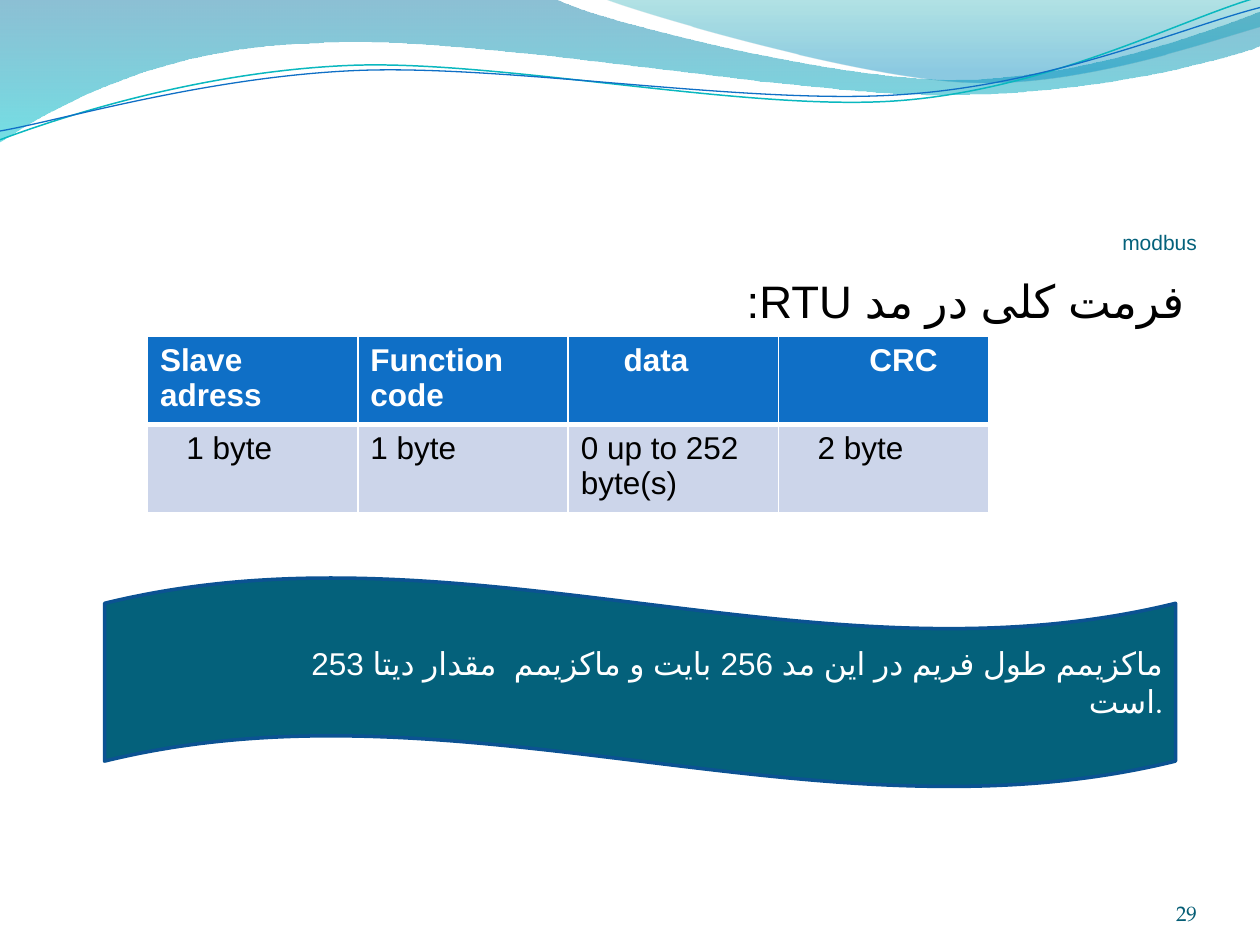
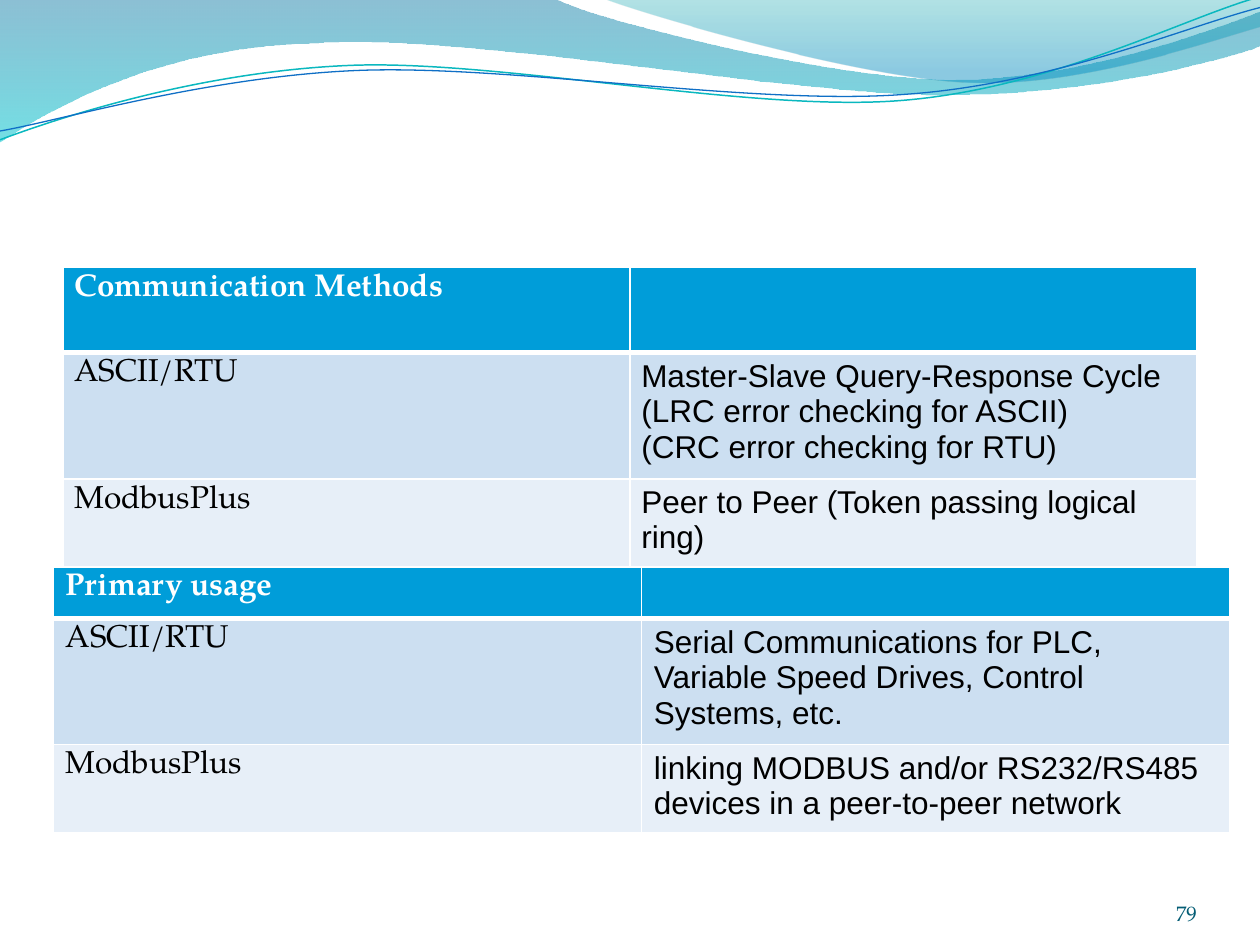
"""Build two slides about Modbus framing and usage under a shared wave header."""
from dataclasses import dataclass, field
from typing import Any

import pptx
import pptx.dml.color
import pptx.enum.shapes
import pptx.enum.text
import pptx.oxml
import pptx.oxml.ns
import pptx.util
from lxml import etree

RGBColor = pptx.dml.color.RGBColor
Align = pptx.enum.text.PP_ALIGN
Anchor = pptx.enum.text.MSO_ANCHOR
AutoSize = pptx.enum.text.MSO_AUTO_SIZE
qn = pptx.oxml.ns.qn

EMU_PER_PX = 9144
SANS = "Arial"
SERIF = "TeX Gyre Pagella"
ENGLISH = "en-US"
PERSIAN = "fa-IR"

WHITE = RGBColor(0xFF, 0xFF, 0xFF)
BLACK = RGBColor(0x00, 0x00, 0x00)
TEAL = RGBColor(0x04, 0x61, 0x7B)
DARK_TEAL = RGBColor(0x04, 0x5D, 0x75)
BLUE = RGBColor(0x0F, 0x6F, 0xC6)
NAVY = RGBColor(0x0B, 0x52, 0x92)
SKY = RGBColor(0x00, 0x9D, 0xD9)
AQUA = RGBColor(0x0A, 0xB8, 0xBF)
PALE_LILAC = RGBColor(0xCC, 0xD5, 0xEA)
PALE_BLUE = RGBColor(0xCC, 0xDF, 0xF1)
PALER_BLUE = RGBColor(0xE7, 0xEF, 0xF8)
DEEP_SEA = RGBColor(0x00, 0x74, 0xA1)
TURQUOISE = RGBColor(0x00, 0xC6, 0xCF)
LAGOON = RGBColor(0x00, 0xA1, 0xA9)
AZURE = RGBColor(0x00, 0x8B, 0xBF)

Point = tuple[int, int]


@dataclass(frozen=True)
class Stop:
    position: float
    color: RGBColor
    opacity: int


@dataclass(frozen=True)
class Ribbon:
    start: Point
    segments: tuple[tuple[Point, ...], ...]
    stops: tuple[Stop, ...] = ()
    stroke: RGBColor | None = None
    stroke_pt: float = 0


@dataclass(frozen=True)
class Grid:
    left: int
    top: int
    column_width: int
    row_height: int
    rows: tuple[tuple[str, ...], ...]
    column_fonts: tuple[str, ...]
    header_fill: RGBColor
    row_fills: tuple[RGBColor, ...]
    side_inset: int = 10
    indents: dict[tuple[int, int], int] = field(default_factory=dict)


RIBBONS = (
    Ribbon((0, 0), (
        ((440, -1),),
        ((476, 17), (664, 63), (758, 63)),
        ((853, 63), (958, 26), (1000, 9)),
        ((1001, 36),),
        ((983, 44), (870, 76), (746, 75)),
        ((622, 75), (382, 28), (257, 34)),
        ((129, 36), (46, 83), (-1, 113)),
    ), stops=(Stop(0, DEEP_SEA, 45), Stop(1, TURQUOISE, 55))),
    Ribbon((479, -1), (
        ((509, 11), (682, 62), (769, 65)),
        ((856, 69), (961, 32), (1000, 21)),
        ((1000, 0),),
    ), stops=(Stop(0, LAGOON, 30), Stop(0.8, AZURE, 45))),
    Ribbon((0, 111), (
        ((48, 93), (158, 57), (277, 52)),
        ((395, 47), (593, 89), (713, 80)),
        ((833, 71), (938, 15), (998, -2)),
    ), stroke=AQUA, stroke_pt=0.85),
    Ribbon((0, 104), (
        ((47, 96), (164, 61), (283, 56)),
        ((403, 51), (597, 84), (717, 75)),
        ((836, 67), (941, 21), (1000, 6)),
    ), stroke=BLUE, stroke_pt=0.75),
)

FRAME_FORMAT = Grid(
    117, 267, 167, 42,
    (("Slave\nadress", "Function code", "data", "CRC"),
     ("1 byte", "1 byte", "0 up to 252 byte(s)", "2 byte")),
    (SANS,) * 4, BLUE, (PALE_LILAC,),
    indents={(0, 2): 34, (0, 3): 62, (1, 0): 21, (1, 3): 21},
)
COMMUNICATION_METHODS = Grid(
    50, 212, 450, 68,
    (("Communication Methods", ""),
     ("ASCII/RTU", "Master-Slave Query-Response Cycle (LRC error checking for ASCII)\n"
                   "(CRC error checking for RTU)"),
     ("ModbusPlus", "Peer to Peer (Token passing logical ring)")),
    (SERIF, SANS), SKY, (PALE_BLUE, PALER_BLUE), side_inset=9,
)
PRIMARY_USAGE = Grid(
    42, 450, 467, 41,
    (("Primary usage", ""),
     ("ASCII/RTU", "Serial Communications for PLC,\nVariable Speed Drives, Control Systems, etc."),
     ("ModbusPlus", "linking MODBUS and/or RS232/RS485 devices in a peer-to-peer network")),
    (SERIF, SANS), SKY, (PALE_BLUE, PALER_BLUE),
)


def px(length: float) -> int:
    """Turn px into EMU."""
    return round(length * EMU_PER_PX)


def box(left: int, top: int, width: int, height: int) -> dict[str, int]:
    """Return a place on the slide as shape attributes."""
    return dict(left=px(left), top=px(top), width=px(width), height=px(height))


def insets(left: int, top: int, right: int, bottom: int) -> dict[str, int]:
    """Return text insets as text frame attributes."""
    return dict(margin_left=px(left), margin_top=px(top),
                margin_right=px(right), margin_bottom=px(bottom))


def apply(target: Any, formats: dict[str, Any]) -> None:
    """Set every format value on the target."""
    for name, value in formats.items():
        setattr(target, name, value)


def write(frame: Any, text: str, font: str, size: int, color: RGBColor, *,
          bold: bool = False, align: Any = None, rtl: bool = False, indent: int = 0,
          language: str = ENGLISH) -> None:
    """Fill a text frame with paragraphs of one style."""
    frame.text = text
    for paragraph in frame.paragraphs:
        paragraph.alignment = align
        properties = paragraph._p.get_or_add_pPr()
        for name, value in dict(marL=px(indent), indent=0, rtl=int(rtl)).items():
            properties.set(name, str(value))
        for run in paragraph.runs:
            apply(run.font, dict(name=font, size=pptx.util.Pt(size), bold=bold))
            run.font.color.rgb = color
            run_properties = run._r.get_or_add_rPr()
            run_properties.set("lang", language)
            etree.SubElement(run_properties, qn("a:cs"), typeface=SANS)


def bend(wave: Any, ribbon: Ribbon) -> None:
    """Turn each run of three control points into a cubic curve."""
    corners = wave.element.spPr.iter(qn("a:lnTo"))
    corners = iter(list(corners))
    for controls in ribbon.segments:
        first, *others = [next(corners) for _ in controls]
        if others:
            first.tag = qn("a:cubicBezTo")
            for corner in others:
                first.append(corner[0])
                corner.getparent().remove(corner)


def draw_ribbon(slide: Any, ribbon: Ribbon) -> Any:
    """Draw one band or line of the wave header."""
    builder = slide.shapes.build_freeform(*ribbon.start, scale=EMU_PER_PX)
    vertices = [point for controls in ribbon.segments for point in controls]
    builder.add_line_segments(vertices, close=bool(ribbon.stops))
    wave = builder.convert_to_shape()
    wave.shadow.inherit = False
    if ribbon.stroke is None:
        wave.line.fill.background()
        wave.fill.gradient()
        wave.fill.gradient_angle = 270
        for target, stop in zip(wave.fill.gradient_stops, ribbon.stops):
            target.position = stop.position
            target.color.rgb = stop.color
        colors = wave.element.spPr.iter(qn("a:srgbClr"))
        for color, stop in zip(colors, ribbon.stops):
            etree.SubElement(color, qn("a:alpha"), val=str(stop.opacity * 1000))
    else:
        wave.fill.background()
        wave.line.color.rgb = ribbon.stroke
        wave.line.width = pptx.util.Pt(ribbon.stroke_pt)
    bend(wave, ribbon)
    return wave


def add_wave_header(presentation: Any, slide: Any) -> None:
    """Put the wave header on the master, behind everything."""
    master_tree = presentation.slide_master.shapes.element
    for order, ribbon in enumerate(RIBBONS):
        wave = draw_ribbon(slide, ribbon).element
        wave.nvSpPr.cNvPr.set("id", str(50 + order))
        master_tree.insert(2 + order, wave)


def add_page_number(slide: Any, number: str) -> None:
    """Write the page number at the lower right."""
    frame = slide.shapes.add_textbox(*box(867, 695, 83, 40).values()).text_frame
    apply(frame, dict(word_wrap=True, vertical_anchor=Anchor.BOTTOM, **insets(0, 0, 0, 0)))
    write(frame, number, SERIF, 12, DARK_TEAL, align=Align.RIGHT)


def add_borders(cell: Any, bottom_pt: int) -> None:
    """Give a cell white edges."""
    properties = cell._tc.get_or_add_tcPr()
    for order, (side, width) in enumerate(dict(L=1, R=1, T=1, B=bottom_pt).items()):
        edge = etree.Element(qn(f"a:ln{side}"), w=str(pptx.util.Pt(width)))
        fill = etree.SubElement(edge, qn("a:solidFill"))
        etree.SubElement(fill, qn("a:srgbClr"), val=str(WHITE))
        properties.insert(order, edge)


def add_grid(slide: Any, grid: Grid) -> None:
    """Add a table with a coloured header row."""
    columns = len(grid.column_fonts)
    place = box(grid.left, grid.top, grid.column_width * columns,
                grid.row_height * len(grid.rows))
    table = slide.shapes.add_table(len(grid.rows), columns, *place.values()).table
    for r, texts in enumerate(grid.rows):
        header = r == 0
        for c, text in enumerate(texts):
            cell = table.cell(r, c)
            apply(cell, insets(grid.side_inset, 5, grid.side_inset, 5))
            cell.fill.solid()
            cell.fill.fore_color.rgb = grid.header_fill if header else grid.row_fills[r - 1]
            add_borders(cell, 3 if header else 1)
            write(cell.text_frame, text, grid.column_fonts[c], 18, WHITE if header else BLACK,
                  bold=header, indent=grid.indents.get((r, c), 0))


def add_frame_slide(presentation: Any) -> Any:
    """Add the slide on the RTU frame format."""
    slide = presentation.slides.add_slide(presentation.slide_layouts[1])
    title, body = slide.placeholders
    apply(title, box(50, 77, 900, 125))
    apply(title.text_frame, dict(vertical_anchor=Anchor.BOTTOM, auto_size=AutoSize.NONE,
                                 **insets(0, 5, 0, 0)))
    write(title.text_frame, "modbus", SANS, 12, TEAL, align=Align.RIGHT, rtl=True)
    apply(body, box(50, 212, 900, 480))
    body.text_frame.auto_size = AutoSize.NONE
    write(body.text_frame, "فرمت کلی در مد RTU:", SANS, 26, BLACK,
          align=Align.RIGHT, rtl=True, language=PERSIAN)
    etree.SubElement(body.text_frame.paragraphs[0]._p.pPr, qn("a:buNone"))
    add_page_number(slide, "29")
    add_grid(slide, FRAME_FORMAT)

    limits = slide.shapes.add_shape(pptx.enum.shapes.MSO_SHAPE.WAVE,
                                    *box(83, 458, 850, 167).values())
    limits.shadow.inherit = False
    limits.fill.solid()
    limits.fill.fore_color.rgb = TEAL
    limits.line.color.rgb = NAVY
    limits.line.width = pptx.util.Pt(2)
    apply(limits.text_frame, dict(word_wrap=True, vertical_anchor=Anchor.MIDDLE,
                                  **insets(100, 5, 10, 5)))
    write(limits.text_frame,
          "ماکزیمم طول فریم در این مد 256 بایت و ماکزیمم  مقدار دیتا 253\vاست.",
          SERIF, 18, WHITE, align=Align.RIGHT, language=PERSIAN)
    return slide


def add_usage_slide(presentation: Any) -> None:
    """Add the slide on communication methods and usage."""
    slide = presentation.slides.add_slide(presentation.slide_layouts[6])
    add_grid(slide, COMMUNICATION_METHODS)
    add_page_number(slide, "79")
    add_grid(slide, PRIMARY_USAGE)


def main() -> None:
    """Build and save the presentation."""
    presentation = pptx.Presentation()
    apply(presentation, dict(slide_width=px(1000), slide_height=px(750)))
    frame_slide = add_frame_slide(presentation)
    add_wave_header(presentation, frame_slide)
    add_usage_slide(presentation)
    presentation.save("out.pptx")


if __name__ == "__main__":
    main()
